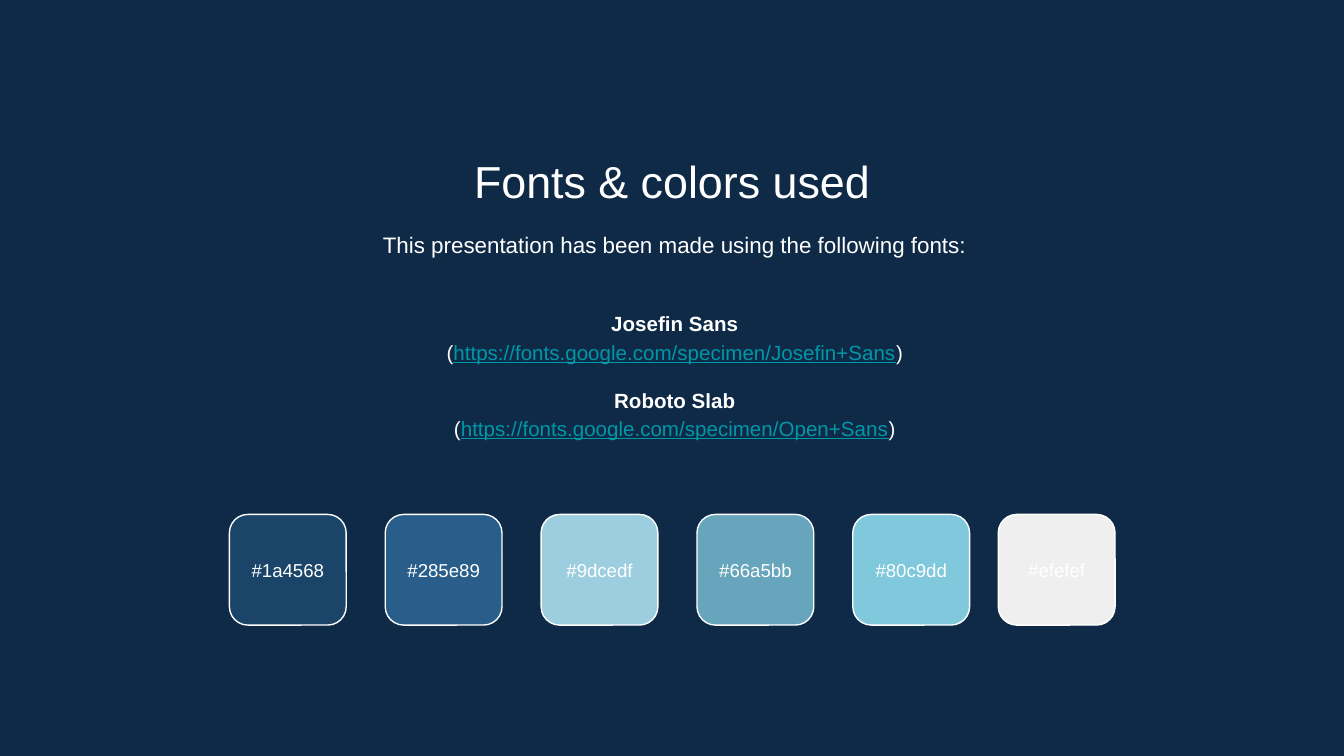
from pptx import Presentation
from pptx.dml.color import RGBColor
from pptx.enum.shapes import MSO_SHAPE
from pptx.enum.text import MSO_ANCHOR, PP_ALIGN
from pptx.util import Pt

NAVY = RGBColor(0x0E, 0x2A, 0x47)
WHITE = RGBColor(0xFF, 0xFF, 0xFF)
TEAL = RGBColor(0x00, 0x97, 0xA7)
FONT = "Arial"
INSET = 7.2

FONTS_USED = [
    ("Josefin Sans", "https://fonts.google.com/specimen/Josefin+Sans"),
    ("Roboto Slab", "https://fonts.google.com/specimen/Open+Sans"),
]
PALETTE = ["1a4568", "285e89", "9dcedf", "66a5bb", "80c9dd", "efefef"]


def set_frame(tf, anchor):
    tf.word_wrap = True
    tf.vertical_anchor = anchor
    tf.margin_left = tf.margin_right = Pt(INSET)
    tf.margin_top = tf.margin_bottom = Pt(INSET)


def add_run(p, text, size, color=WHITE, bold=False, underline=False):
    r = p.add_run()
    r.text = text
    r.font.name = FONT
    r.font.size = Pt(size)
    r.font.color.rgb = color
    r.font.bold = bold
    r.font.underline = underline


def add_frame(slide, box, anchor=MSO_ANCHOR.TOP):
    tf = slide.shapes.add_textbox(*map(Pt, box)).text_frame
    set_frame(tf, anchor)
    return tf


def add_line(slide, box, text, size, spacing):
    p = add_frame(slide, box).paragraphs[0]
    p.alignment = PP_ALIGN.CENTER
    p.line_spacing = spacing
    add_run(p, text, size)


def add_font_list(slide, box, size=11, gap=10.6):
    tf = add_frame(slide, box, MSO_ANCHOR.MIDDLE)
    for i, (name, url) in enumerate(FONTS_USED):
        heading = tf.add_paragraph() if i else tf.paragraphs[0]
        if i:
            heading.space_before = Pt(gap)
        add_run(heading, name, size, bold=True)
        address = tf.add_paragraph()
        add_run(address, "(", size)
        add_run(address, url, size, TEAL, underline=True)
        add_run(address, ")", size)
    for p in tf.paragraphs:
        p.alignment = PP_ALIGN.CENTER
        p.line_spacing = 1.15


def add_swatch(slide, box, code):
    sp = slide.shapes.add_shape(MSO_SHAPE.ROUNDED_RECTANGLE, *map(Pt, box))
    sp.adjustments[0] = 0.167
    sp.shadow.inherit = False
    sp.fill.solid()
    sp.fill.fore_color.rgb = RGBColor.from_string(code.upper())
    sp.line.color.rgb = WHITE
    sp.line.width = Pt(0.75)
    tf = sp.text_frame
    set_frame(tf, MSO_ANCHOR.MIDDLE)
    tf.word_wrap = False
    tf.paragraphs[0].alignment = PP_ALIGN.CENTER
    add_run(tf.paragraphs[0], "#" + code, 10)


def add_palette(slide, box, swatch_width=62.6, pitch=83.5):
    """Step the swatches from the left; the last one ends at the box's right edge."""
    left, top, width, height = box
    xs = [left + i * pitch for i in range(len(PALETTE) - 1)]
    xs.append(left + width - swatch_width)
    for x, code in zip(xs, PALETTE):
        add_swatch(slide, (x, top, swatch_width, height), code)


def main():
    prs = Presentation()
    prs.slide_width, prs.slide_height = Pt(720), Pt(405)
    slide = prs.slides.add_slide(prs.slide_layouts[6])
    slide.background.fill.solid()
    slide.background.fill.fore_color.rgb = NAVY

    add_line(slide, (82.5, 75, 555, 38), "Fonts & colors used", 24, 1)
    add_line(slide, (84, 114.5, 555, 34.5),
             "This presentation has been made using the following fonts:", 12, 1.15)
    add_font_list(slide, (84, 151.2, 555, 98.6))
    add_palette(slide, (122.9, 275.6, 474.5, 59.3))
    prs.save("out.pptx")


if __name__ == "__main__":
    main()
